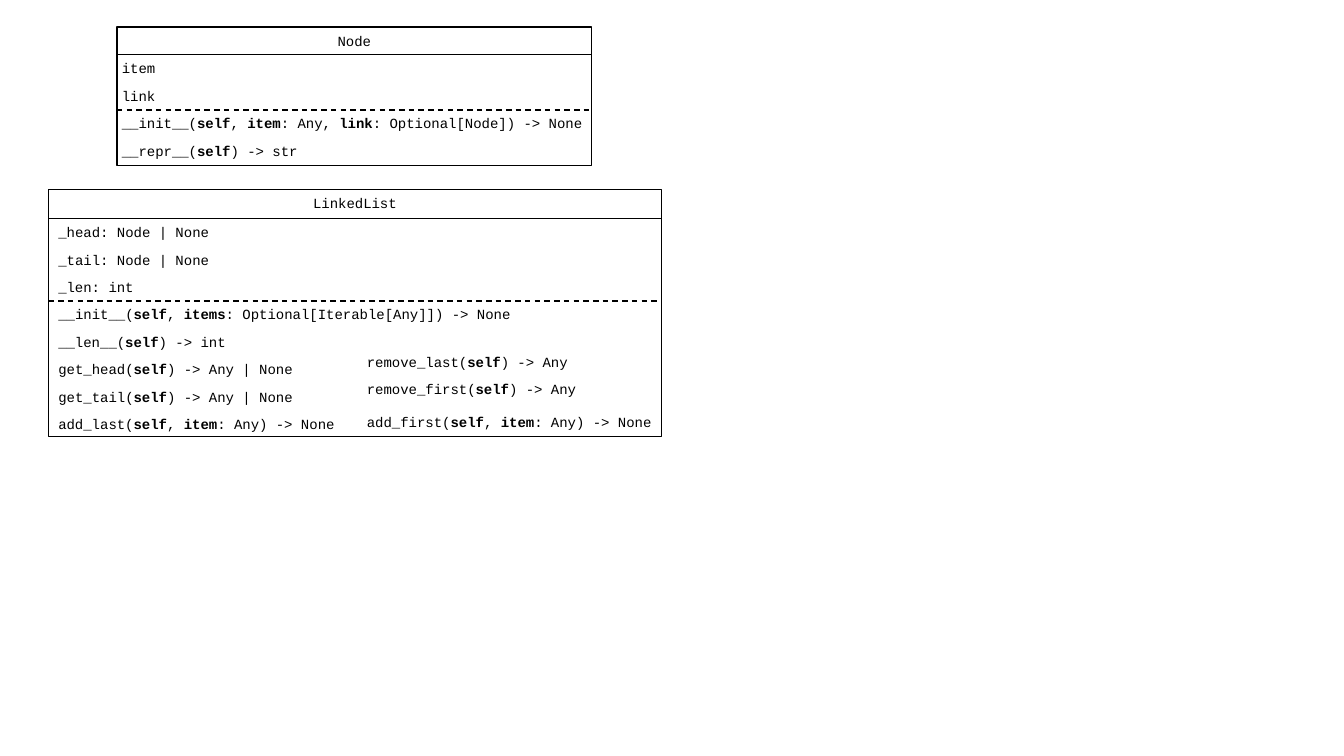
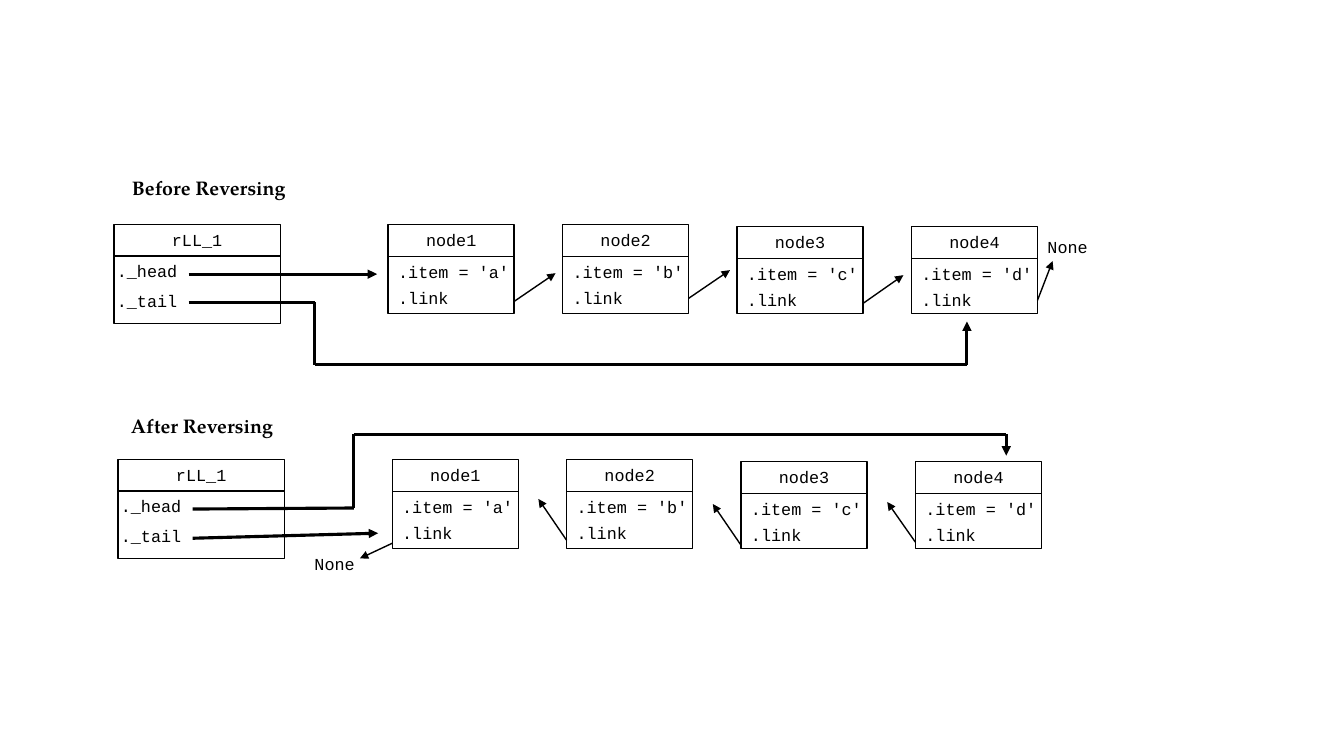
"""Build two slides on linked lists: class outlines and a list before and after reversing."""
from itertools import pairwise

from pptx import Presentation
from pptx.dml.color import RGBColor
from pptx.enum.dml import MSO_LINE
from pptx.enum.shapes import MSO_CONNECTOR, MSO_SHAPE
from pptx.enum.text import PP_ALIGN
from pptx.oxml.ns import qn
from pptx.util import Inches, Pt
from lxml.etree import SubElement

CELL = Inches(0.1)
INK = RGBColor.from_string("000000")
CODE = "Courier New"
HEADING = "TeX Gyre Pagella"


def add_text(page, text, left, top, size, width=None, font=CODE, bold=False, align=PP_ALIGN.LEFT):
    """Write one line at a grid place; parts between asterisks are bold."""
    parts = text.split("*")
    if width is None:
        width = len("".join(parts)) * size / 12 + 2.2
    box = page.shapes.add_textbox(*(round(n * CELL) for n in (left, top, width, size / 4)))
    box.text_frame.word_wrap = True
    para = box.text_frame.paragraphs[0]
    para.alignment = align
    para.font.name, para.font.size, para.font.bold = font, Pt(size), bold
    para.font.color.rgb = INK
    for index, part in enumerate(parts):
        span = para.add_run()
        span.text = part
        if index % 2:
            span.font.bold = True


def add_line(page, start, end, weight=1, dashed=False, arrow=False):
    """Draw a straight line between two grid points."""
    ends = (round(n * CELL) for n in (*start, *end))
    connector = page.shapes.add_connector(MSO_CONNECTOR.STRAIGHT, *ends)
    connector.line.color.rgb = INK
    connector.line.width = Pt(weight)
    if dashed:
        connector.line.dash_style = MSO_LINE.DASH
    properties = connector._element.spPr
    if arrow:
        SubElement(properties.find(qn("a:ln")), qn("a:tailEnd"), type="triangle")
    SubElement(properties, qn("a:effectLst"))


deck = Presentation()
deck.slide_width, deck.slide_height = Inches(13.33), Inches(7.5)
classes_page, reversing_page = (deck.slides.add_slide(deck.slide_layouts[6]) for _ in range(2))

node_rows = [
    "item",
    "link",
    "__init__(*self*, *item*: Any, *link*: Optional[Node]) -> None",
    "__repr__(*self*) -> str",
]
list_rows = [
    "_head: Node | None",
    "_tail: Node | None",
    "_len: int",
    "__init__(*self*, *items*: Optional[Iterable[Any]]) -> None",
    "__len__(*self*) -> int",
    "get_head(*self*) -> Any | None",
    "get_tail(*self*) -> Any | None",
    "add_last(*self*, *item*: Any) -> None",
]
side_rows = [
    ("remove_last(*self*) -> Any", 34.6),
    ("remove_first(*self*) -> Any", 37.3),
    ("add_first(*self*, *item*: Any) -> None", 40.5),
]
for text, top in side_rows:
    add_text(classes_page, text, 35.4, top, 10)

cards = [
    (classes_page, "Node", 10, (11.6, 2.7, 47.1, 13.7), 2.7, 2.75, -0.5, node_rows, 2),
    (classes_page, "LinkedList", 10, (4.8, 18.8, 60.8, 24.5), 2.9, 2.72, 0, list_rows, 3),
]
for shift, drop in ((0, 0), (0.4, 23.3)):
    frame = (11.3 + shift, 22.3 + drop, 16.5, 9.8)
    cards.append((reversing_page, "rLL_1", 12, frame, 3.1, 2.95, -0.7, ["._head", "._tail"], 0))
    for index, item in enumerate("abcd"):
        dip = 0.2 * (index // 2)
        frame = (38.5 + 17.3 * index + shift, 22.3 + dip + drop, 12.5, 8.8 - dip)
        rows = [f".item = '{item}'", ".link"]
        cards.append((reversing_page, f"node{index + 1}", 12, frame, 3.15, 2.65, 0, rows, 0))

for page, title, size, frame, header, pitch, inset, rows, fields in cards:
    left, top, width, height = frame
    outline = page.shapes.add_shape(MSO_SHAPE.RECTANGLE, *(round(n * CELL) for n in frame))
    outline.shadow.inherit = False
    outline.fill.background()
    outline.line.color.rgb = INK
    outline.line.width = Pt(1)
    add_text(page, title, left, top, size, width, align=PP_ALIGN.CENTER)
    body = top + header
    add_line(page, (left, body), (left + width, body))
    for index, text in enumerate(rows):
        add_text(page, text, left + inset, body + index * pitch, size)
    if fields:
        split = body + fields * pitch
        add_line(page, (left, split), (left + width, split), dashed=True)

for text, left, top, width in (
    ("Before Reversing", 12.1, 17, 18),
    ("After Reversing", 12, 40.6, 17),
):
    add_text(reversing_page, text, left, top, 14, width, font=HEADING, bold=True)
for left, top in ((102.9, 23), (30.2, 54.4)):
    add_text(reversing_page, "None", left, top, 12)

links = [
    ((51, 29.9), (55.1, 27.1)),
    ((68.3, 29.6), (72.4, 26.8)),
    ((85.6, 30.1), (89.6, 27.3)),
    ((102.9, 29.8), (104.4, 25.9)),
    ((38.9, 53.9), (35.7, 55.4)),
    ((56.2, 53.6), (53.4, 49.5)),
    ((73.5, 54.1), (70.7, 50)),
    ((90.8, 53.8), (88, 49.8)),
]
pointers = [
    ((18.7, 27.2), (37.4, 27.2)),
    ((18.7, 30), (31.2, 30), (31.2, 36.2), (95.9, 36.2), (95.9, 31.9)),
    ((19.1, 50.5), (35.1, 50.4), (35.1, 43.1), (99.8, 43.1), (99.8, 45.2)),
    ((19.1, 53.4), (37.5, 52.9)),
]
for weight, routes in ((1, links), (2.25, pointers)):
    for route in routes:
        for start, end in pairwise(route):
            add_line(reversing_page, start, end, weight, arrow=end == route[-1])

deck.save("out.pptx")
